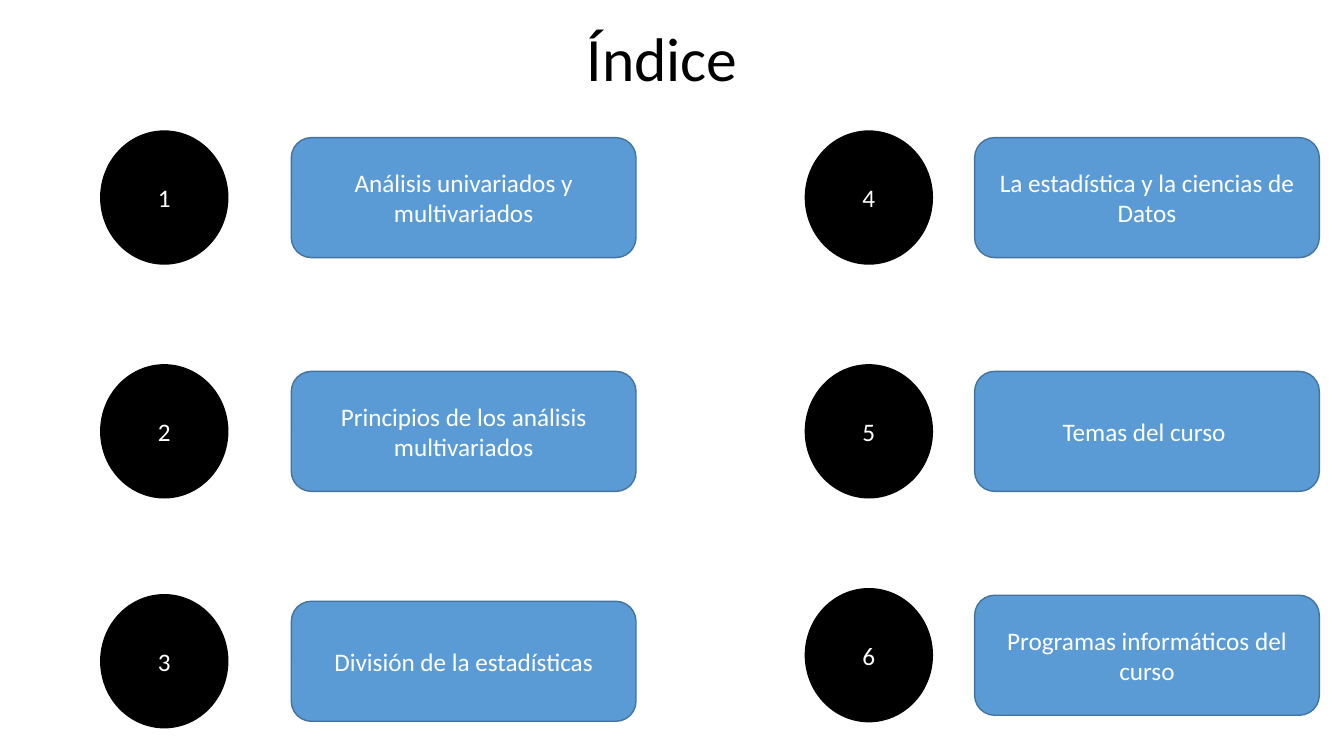
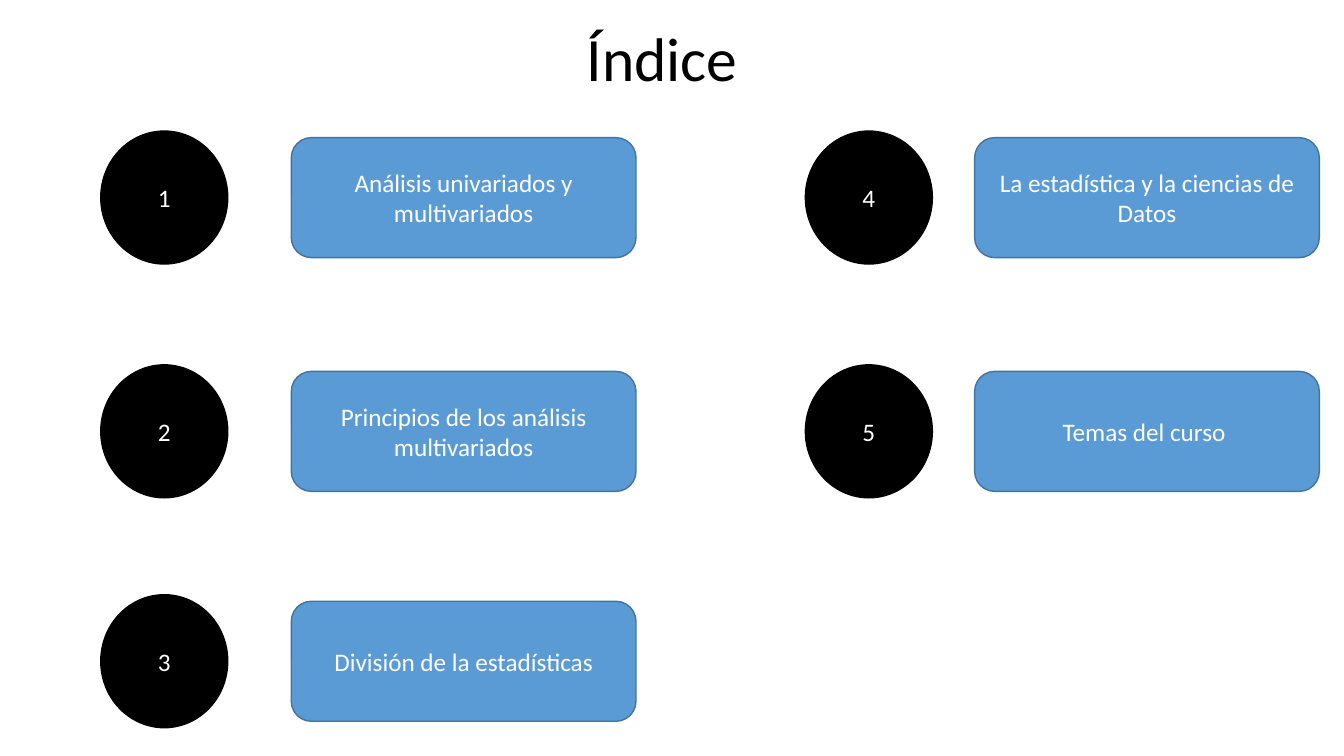
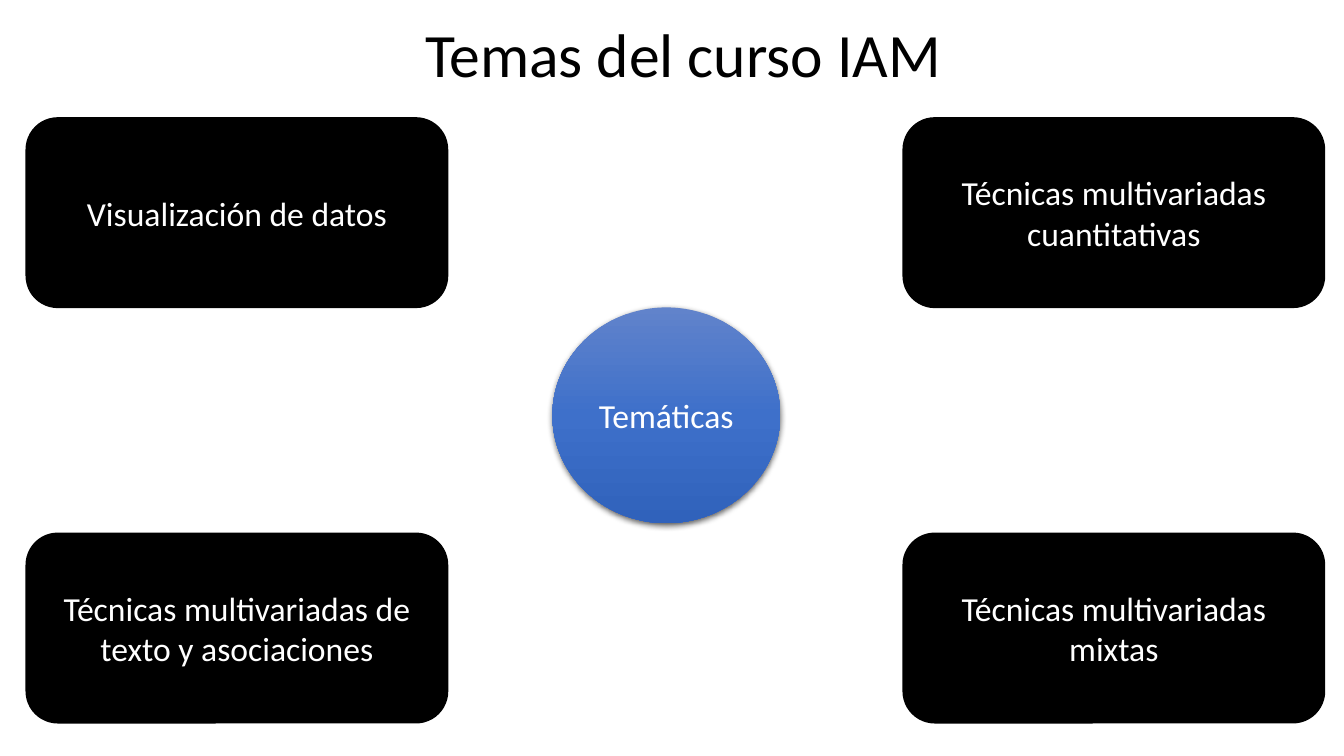
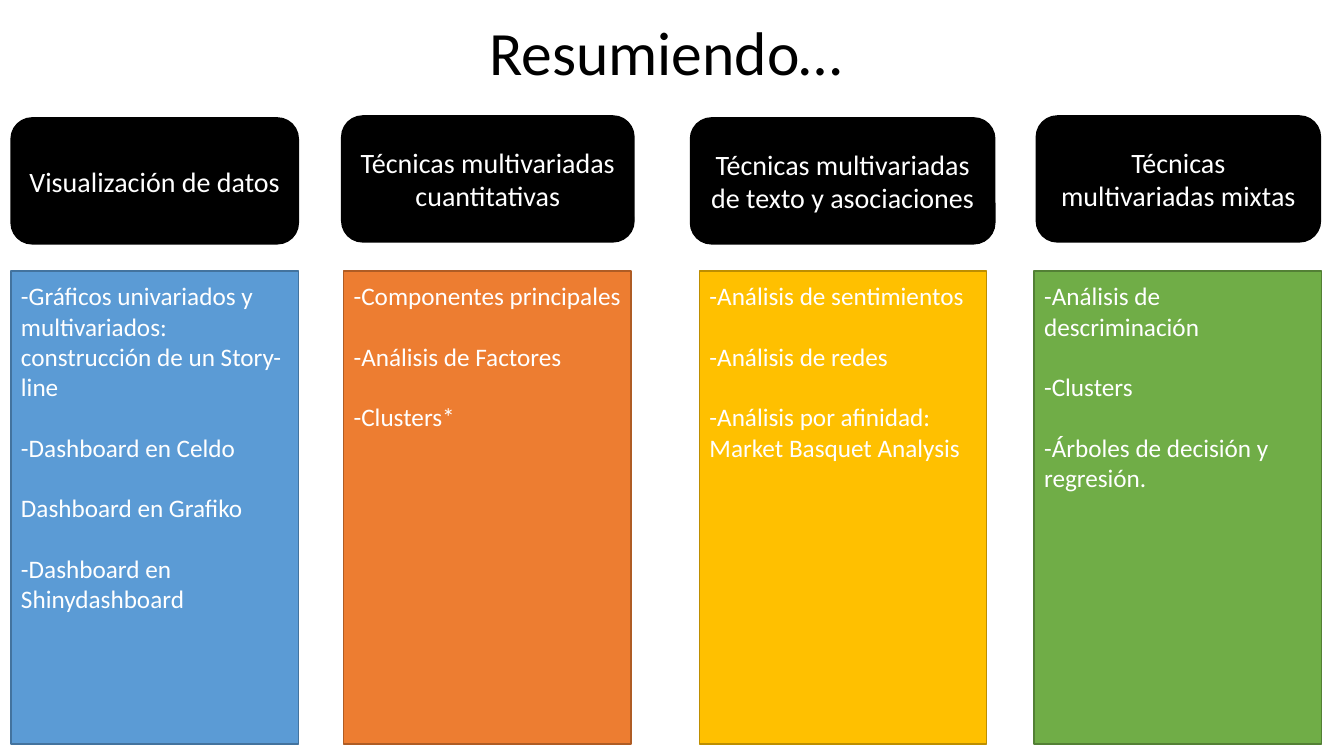
from copy import deepcopy

from lxml import etree
from pptx import Presentation
from pptx import util as u
from pptx.dml.color import RGBColor
from pptx.enum import shapes, text
from pptx.oxml.ns import qn

COLOURS = {
    "black": "000000", "white": "FFFFFF",
    "blue": "5B9BD5", "blue edge": "43739E",
    "orange": "ED7D31", "orange edge": "AF5C24",
    "gold": "FFC000", "gold edge": "BD8E00",
    "green": "70AD47", "green edge": "538035",
    "glow top": "6183CB", "glow middle": "3E70CA", "glow bottom": "3062BB",
}
FONT = "Calibri"
ELLIPSE = shapes.MSO_SHAPE.OVAL
ROUNDED = shapes.MSO_SHAPE.ROUNDED_RECTANGLE
RECTANGLE = shapes.MSO_SHAPE.RECTANGLE
CENTRED = text.PP_ALIGN.CENTER

# Index: topics by column, with the left of numbers and labels and the row tops
INDEX_COLUMNS = [
    (72, 208.1, [93.6, 260.6, 424.8],
     ["Análisis univariados y multivariados",
      "Principios de los análisis multivariados",
      "División de la estadísticas"]),
    (575.3, 696.2, [93.6, 260.6, 420.5],
     ["La estadística y la ciencias de Datos",
      "Temas del curso ",
      "Programas informáticos del curso"]),
]

# Course themes
VISUALS = "Visualización de datos"
QUANTITATIVE = "Técnicas multivariadas cuantitativas"
TEXTUAL = "Técnicas multivariadas de texto y asociaciones"
MIXED = "Técnicas multivariadas mixtas"

# Summary: heading, its left, top and width, then panel left, colour and items
SUMMARY = [
    (VISUALS, (7.9, 84.2, 205.2), 7.9, "blue",
     ["-Gráficos univariados y multivariados: construcción de un Story-line",
      "-Dashboard en Celdo", "Dashboard en Grafiko",
      "-Dashboard en Shinydashboard"]),
    (QUANTITATIVE, (244.1, 82.8, 208.8), 245.5, "orange",
     ["-Componentes principales", "-Análisis de Factores", "-Clusters*"]),
    (TEXTUAL, (493.2, 84.2, 217.4), 499.7, "gold",
     ["-Análisis de sentimientos", "-Análisis de redes",
      "-Análisis por afinidad: Market Basquet Analysis"]),
    (MIXED, (740.2, 82.8, 203), 738.7, "green",
     ["-Análisis de descriminación", "-Clusters",
      "-Árboles de decisión y regresión."]),
]


def colour(name):
    return RGBColor.from_string(COLOURS[name])


def apply(target, formats):
    for name, value in formats.items():
        setattr(target, name, value)


def place(shape, *box):
    apply(shape, dict(zip(("left", "top", "width", "height"), map(u.Pt, box))))


def write(shape, lines, size, ink, frame_format, paragraph_format, gap=0):
    """Fill a shape with paragraphs, separated by a gap."""
    frame = shape.text_frame
    frame.text = "\n".join(lines)
    apply(frame, {"word_wrap": True, "auto_size": text.MSO_AUTO_SIZE.NONE,
                  "vertical_anchor": text.MSO_ANCHOR.MIDDLE, **frame_format})
    for number, paragraph in enumerate(frame.paragraphs):
        apply(paragraph, paragraph_format)
        if number and gap:
            paragraph.space_before = u.Pt(gap)
        apply(paragraph.font, {"name": FONT, "size": u.Pt(size)})
        paragraph.font.color.rgb = colour(ink)


def add_titled_slide(presentation, title, box):
    slide = presentation.slides.add_slide(presentation.slide_layouts[5])
    place(slide.shapes.title, *box)
    write(slide.shapes.title, [title], 44, "black", {},
          {"alignment": CENTRED, "line_spacing": 0.9})
    return slide


def add_figure(slide, kind, box, fill, edge):
    shape = slide.shapes.add_shape(kind, *map(u.Pt, box))
    shape.shadow.inherit = False
    shape.fill.solid()
    shape.fill.fore_color.rgb = colour(fill)
    shape.line.color.rgb = colour(edge)
    shape.line.width = u.Pt(1)
    return shape


def add_label(slide, kind, box, label, size, fill="black", edge="black"):
    shape = add_figure(slide, kind, box, fill, edge)
    write(shape, [label], size, "white", {}, {"alignment": CENTRED})
    return shape


def add_panel(slide, box, fill, items):
    shape = add_figure(slide, RECTANGLE, box, fill, fill + " edge")
    write(shape, items, 18, "white",
          {"vertical_anchor": text.MSO_ANCHOR.TOP, "margin_top": u.Pt(6.8)},
          {"alignment": text.PP_ALIGN.LEFT}, gap=21.6)


def make_glossy(shape):
    """Give a shape a three-stop gradient and a soft shadow below."""
    shape.line.fill.background()
    shape.fill.gradient()
    shape.fill.gradient_angle = 270
    properties = shape._element.spPr
    stop_list = properties.find(".//" + qn("a:gsLst"))
    stop_list.append(deepcopy(stop_list[-1]))
    names = ("glow top", "glow middle", "glow bottom")
    for number, stop in enumerate(shape.fill.gradient_stops):
        stop.position = number / 2
        stop.color.rgb = colour(names[number])
    shadow = etree.SubElement(
        properties.find(qn("a:effectLst")), qn("a:outerShdw"),
        blurRad=str(u.Pt(4.5)), dist=str(u.Pt(1.5)), dir="5400000",
        algn="ctr", rotWithShape="0")
    tint = etree.SubElement(shadow, qn("a:srgbClr"), val=COLOURS["black"])
    etree.SubElement(tint, qn("a:alpha"), val="63000")


def build_index(presentation, topic_count):
    slide = add_titled_slide(presentation, "Índice", (67, 9.4, 812.2, 69.8))
    number = 0
    for number_left, label_left, tops, topics in INDEX_COLUMNS:
        for top, topic in zip(tops, topics):
            number += 1
            if number > topic_count:
                return
            add_label(slide, ELLIPSE, (number_left, top, 90.7, 95),
                      str(number), 18)
            add_label(slide, ROUNDED, (label_left, top + 4.7, 246.2, 85.7),
                      topic, 18, "blue", "blue edge")


def build_themes(presentation):
    slide = add_titled_slide(presentation, "Temas del curso IAM",
                             (31, 4.3, 914.4, 73.4))
    make_glossy(add_label(slide, ELLIPSE, (394.6, 219.6, 162.7, 154.1),
                          "Temáticas", 24))
    themes = [[VISUALS, QUANTITATIVE], [TEXTUAL, MIXED]]
    for top, row in zip((84.2, 380.9), themes):
        for left, theme in zip((18.7, 645.1), row):
            add_label(slide, ROUNDED, (left, top, 301, 135.4), theme, 24)


def build_summary(presentation):
    slide = add_titled_slide(presentation, "Resumiendo… ",
                             (10.8, 6.5, 939.6, 66.2))
    for heading, heading_box, panel_left, fill, items in SUMMARY:
        add_label(slide, ROUNDED, (*heading_box, 90), heading, 20)
        add_panel(slide, (panel_left, 193.7, 205.2, 337.7), fill, items)


def main():
    presentation = Presentation()
    apply(presentation, {"slide_width": u.Pt(960), "slide_height": u.Pt(540)})
    for topic_count in (6, 5):
        build_index(presentation, topic_count)
    build_themes(presentation)
    build_summary(presentation)
    presentation.save("out.pptx")


if __name__ == "__main__":
    main()
